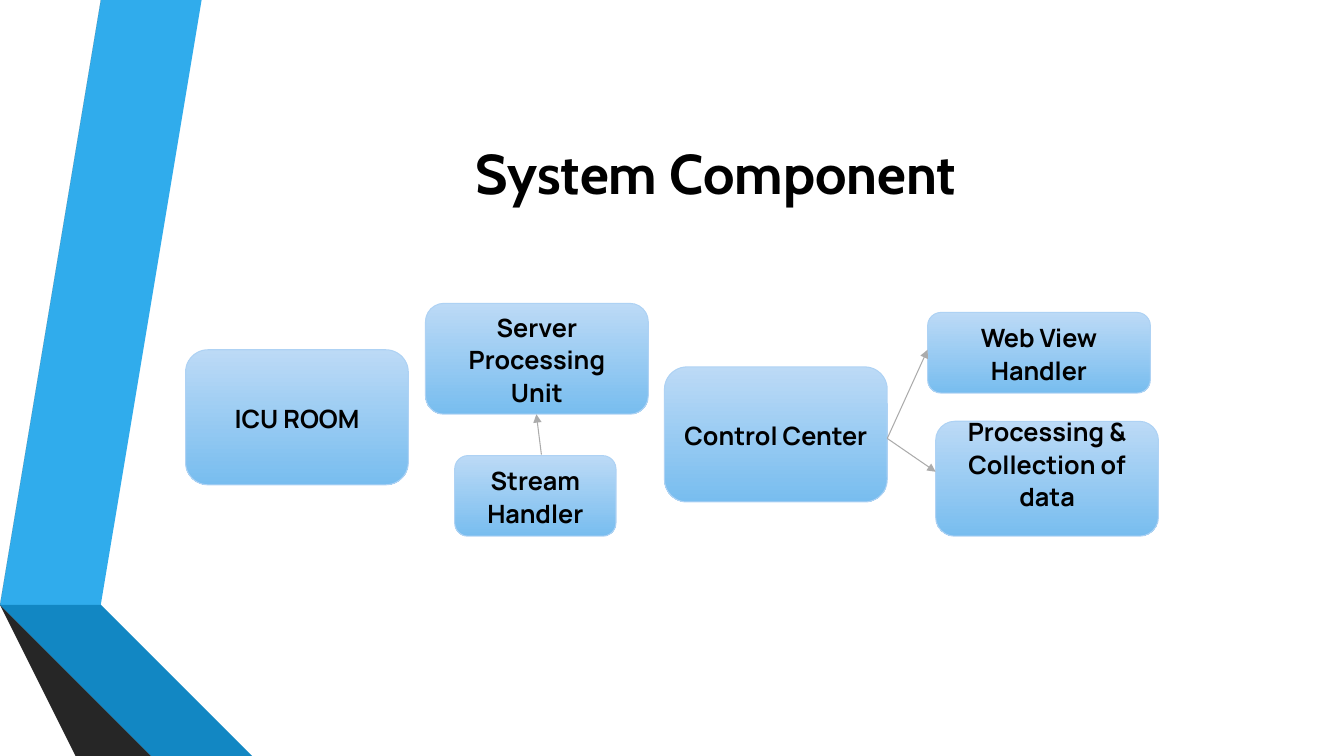
from lxml import etree
from pptx import Presentation
from pptx.dml.color import RGBColor as RGB
from pptx.enum.shapes import MSO_CONNECTOR as CONNECTOR, MSO_SHAPE as SHAPE
from pptx.enum.text import MSO_ANCHOR as ANCHOR, PP_ALIGN as ALIGN
from pptx.oxml.ns import qn
from pptx.util import Inches, Pt

COLORS = {
    "text": "000000", "box top": "BCDAF6", "box bottom": "78BDEF",
    "box edge": "AED2F4", "arrow": "ABABAB",
    "sky": "30ACEC", "blue": "1287C3", "navy": "0C5A82",
    "gray": "595959", "charcoal": "404040", "black": "262626",
}

RIBBONS = [
    ("sky", [(0.5, 5.78), (0.77, 5.83), (1.73, 0), (1.45, 0)]),
    ("gray", [(1.39, 0), (1.11, 0), (0.16, 5.73), (0.44, 5.77)]),
    ("black", [(0.16, 5.73), (1.45, 7.5), (1.51, 7.5)]),
    ("navy", [(0.5, 5.79), (2.08, 7.5), (2.14, 7.5)]),
    ("blue", [(0.5, 5.78), (2.14, 7.5), (2.83, 7.5), (0.77, 5.83)]),
    ("charcoal", [(2.02, 7.5), (0.48, 5.83), (0.44, 5.77), (0.16, 5.73), (1.51, 7.5)]),
]

COMPONENTS = [
    ("ICU ROOM", 1.84, 3.47, 2.21, 1.34),
    ("Server Processing Unit", 4.22, 3.01, 2.21, 1.1),
    ("Control Center", 6.59, 3.64, 2.21, 1.34),
    ("Web View Handler", 9.2, 3.1, 2.21, 0.8),
    ("Stream Handler", 4.51, 4.52, 1.6, 0.8),
]

FLOWS = [
    ((5.37, 4.51), (5.32, 4.11)),
    ((8.8, 4.35), (9.2, 3.47)),
    ((8.8, 4.35), (9.28, 4.68)),
]


def color(name):
    """Return the palette colour of that name."""
    return RGB.from_string(COLORS[name])


class Diagram:
    """Draws the elements of a component diagram on one slide."""

    def __init__(self, slide):
        """Keep the slide that is drawn on."""
        self.slide = slide

    def label(self, frame, text, font, size):
        """Put bold, centred text into a text frame."""
        frame.word_wrap = True
        frame.vertical_anchor = ANCHOR.MIDDLE
        frame.text = text
        paragraph = frame.paragraphs[0]
        paragraph.alignment = ALIGN.CENTER
        style = paragraph.runs[0].font
        style.name, style.size, style.bold = font, Pt(size), True
        style.color.rgb = color("text")
        return paragraph

    def title(self, text, left, top, width, height):
        """Place and fill the title placeholder."""
        heading = self.slide.shapes.title
        heading.left, heading.top = Inches(left), Inches(top)
        heading.width, heading.height = Inches(width), Inches(height)
        self.label(heading.text_frame, text, "Cabin", 40)

    def ribbon(self, shade, points):
        """Draw one flat polygon of the side decoration."""
        outline = self.slide.shapes.build_freeform(*points[0], scale=Inches(1))
        outline.add_line_segments(points[1:], close=True)
        band = outline.convert_to_shape()
        band.shadow.inherit = False
        band.fill.solid()
        band.fill.fore_color.rgb = color(shade)
        band.line.fill.background()

    def component(self, text, left, top, width, height, bottom_inset=0.05):
        """Draw a rounded gradient box with its label."""
        box = self.slide.shapes.add_shape(
            SHAPE.ROUNDED_RECTANGLE,
            Inches(left), Inches(top), Inches(width), Inches(height))
        box.shadow.inherit = False
        box.fill.gradient()
        box.fill.gradient_angle = 270
        for stop, position, shade in zip(
                box.fill.gradient_stops, (0, 1), ("box top", "box bottom")):
            stop.position = position
            stop.color.rgb = color(shade)
        box.line.color.rgb = color("box edge")
        box.line.width = Pt(0.75)
        box.text_frame.margin_bottom = Inches(bottom_inset)
        caption = self.label(box.text_frame, text, "Manrope", 18)
        caption.line_spacing = 1.07
        caption.space_after = Pt(8)

    def arrow(self, start, end):
        """Draw a thin arrow from start to end."""
        flow = self.slide.shapes.add_connector(
            CONNECTOR.STRAIGHT, *map(Inches, start + end))
        flow.line.color.rgb = color("arrow")
        flow.line.width = Pt(0.75)
        properties = flow._element.spPr
        etree.SubElement(properties.find(qn("a:ln")), qn("a:tailEnd"), type="triangle")
        etree.SubElement(properties, qn("a:effectLst"))


def main():
    """Build and save the slide."""
    deck = Presentation()
    deck.slide_width, deck.slide_height = Inches(13.33), Inches(7.5)
    diagram = Diagram(deck.slides.add_slide(deck.slide_layouts.get_by_name("Title Only")))
    for ribbon in RIBBONS:
        diagram.ribbon(*ribbon)
    diagram.title("System Component", 1.62, 0.75, 10.96, 1.92)
    for component in COMPONENTS:
        diagram.component(*component)
    diagram.component("Processing & Collection of data", 9.28, 4.18, 2.21, 1.14,
                      bottom_inset=0.36)
    for flow in FLOWS:
        diagram.arrow(*flow)
    deck.save("out.pptx")


if __name__ == "__main__":
    main()
